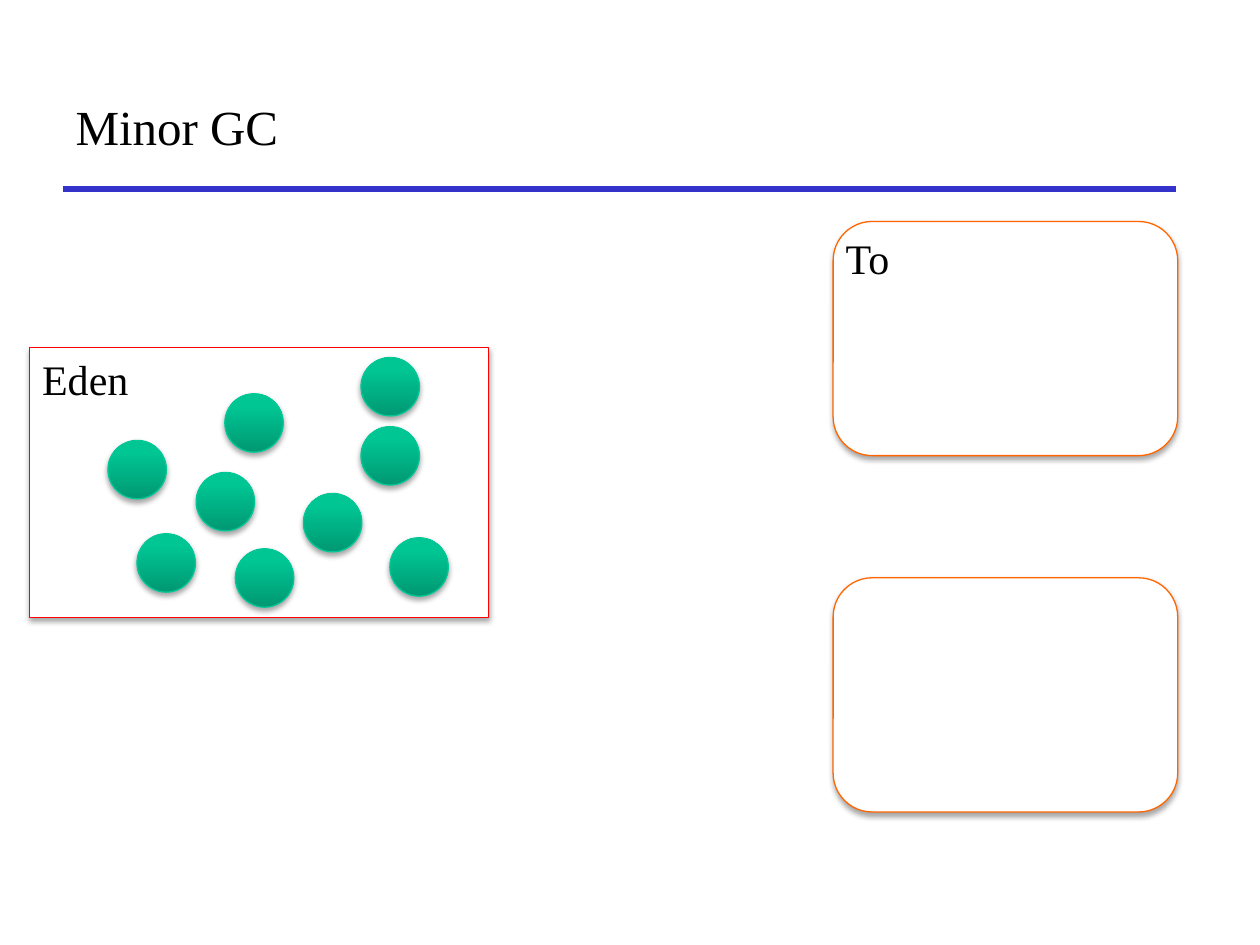
from copy import deepcopy
from typing import NamedTuple

from lxml.etree import SubElement
from pptx import Presentation
from pptx.dml.color import RGBColor
from pptx.enum.shapes import MSO_CONNECTOR, MSO_SHAPE
from pptx.enum.text import MSO_ANCHOR, MSO_AUTO_SIZE, PP_ALIGN
from pptx.oxml.ns import qn
from pptx.util import Pt

BLACK = RGBColor(0x00, 0x00, 0x00)
WHITE = RGBColor(0xFF, 0xFF, 0xFF)
BLUE = RGBColor(0x33, 0x33, 0xCC)
RED = RGBColor(0xFF, 0x00, 0x00)
ORANGE = RGBColor(0xFF, 0x66, 0x00)
GREEN = RGBColor(0x00, 0xC8, 0x96)
GREEN_STOPS = [
    (0.0, RGBColor(0x00, 0x98, 0x72)),
    (0.8, RGBColor(0x00, 0xC6, 0x94)),
    (1.0, RGBColor(0x00, 0xC7, 0x95)),
]
FONT = "Times New Roman"
DIAMETER = 33.4


class Region(NamedTuple):
    kind: MSO_SHAPE
    left: float
    top: float
    width: float
    height: float
    line: RGBColor


class Label(NamedTuple):
    text: str
    left: float
    top: float
    width: float


class Spot(NamedTuple):
    left: float
    top: float


REGIONS = [
    Region(MSO_SHAPE.RECTANGLE, 17, 198.7, 262.3, 154.2, RED),
    Region(MSO_SHAPE.ROUNDED_RECTANGLE, 476.1, 126.6, 196.9, 133.8, ORANGE),
    Region(MSO_SHAPE.ROUNDED_RECTANGLE, 476.1, 330.2, 196.9, 133.8, ORANGE),
]
LABELS = [Label("Eden", 17, 198.7, 103), Label("To", 476.1, 129.6, 106.6)]
LIVE_OBJECTS = [
    Spot(61.7, 251.7), Spot(128.5, 225), Spot(173.4, 282), Spot(78.3, 305),
    Spot(206.3, 243.8), Spot(112.1, 270), Spot(206.3, 204.3),
    Spot(134.5, 313.6), Spot(222.8, 307.3),
]


def set_text(tf, text: str, size: float) -> None:
    p = tf.paragraphs[0]
    p.alignment = PP_ALIGN.LEFT
    r = p.add_run()
    r.text = text
    for name, value in {"name": FONT, "size": Pt(size), "bold": False}.items():
        setattr(r.font, name, value)
    r.font.color.rgb = BLACK


def add_shadowed(s, kind: MSO_SHAPE, left: float, top: float,
                 width: float, height: float, line: RGBColor):
    sp = s.shapes.add_shape(kind, Pt(left), Pt(top), Pt(width), Pt(height))
    sp.line.color.rgb = line
    sp.line.width = Pt(0.75)
    # Soft shadow straight below
    sp.shadow.inherit = False
    effects = sp._element.spPr.find(qn("a:effectLst"))
    shadow = SubElement(effects, qn("a:outerShdw"), blurRad=str(Pt(3.1)),
                        dist=str(Pt(1.8)), dir="5400000", rotWithShape="0")
    color = SubElement(shadow, qn("a:srgbClr"), val=str(BLACK))
    SubElement(color, qn("a:alpha"), val="35000")
    return sp


def add_region(s, region: Region) -> None:
    sp = add_shadowed(s, *region)
    sp.fill.solid()
    sp.fill.fore_color.rgb = WHITE


def add_label(s, label: Label) -> None:
    sp = s.shapes.add_textbox(Pt(label.left), Pt(label.top),
                              Pt(label.width), Pt(36))
    tf = sp.text_frame
    tf.word_wrap = True
    tf.auto_size = MSO_AUTO_SIZE.SHAPE_TO_FIT_TEXT
    set_text(tf, label.text, 24)


def add_live_object(s, spot: Spot) -> None:
    sp = add_shadowed(s, MSO_SHAPE.OVAL, spot.left, spot.top,
                      DIAMETER, DIAMETER, GREEN)
    sp.fill.gradient()
    sp.fill.gradient_angle = 90
    stop_list = sp._element.spPr.find(qn("a:gradFill")).find(qn("a:gsLst"))
    stop_list.append(deepcopy(stop_list[-1]))
    for stop, (position, color) in zip(sp.fill.gradient_stops, GREEN_STOPS):
        stop.position = position
        stop.color.rgb = color


def add_title(s, text: str) -> None:
    sp = s.shapes.title
    box = {"left": 36, "top": 36, "width": 636, "height": 72}
    for name, value in box.items():
        setattr(sp, name, Pt(value))
    tf = sp.text_frame
    tf.vertical_anchor = MSO_ANCHOR.MIDDLE
    tf.auto_size = MSO_AUTO_SIZE.NONE
    set_text(tf, text, 28)


def add_rule(s) -> None:
    rule = s.shapes.add_connector(MSO_CONNECTOR.STRAIGHT,
                                  Pt(36), Pt(108), Pt(672), Pt(108))
    rule.line.color.rgb = BLUE
    rule.line.width = Pt(3)
    SubElement(rule._element.spPr, qn("a:effectLst"))


def main() -> None:
    prs = Presentation()
    prs.slide_width, prs.slide_height = Pt(720), Pt(540)
    s = prs.slides.add_slide(prs.slide_layouts[5])

    # Heading
    add_title(s, "Minor GC")
    add_rule(s)

    # Memory regions and their names
    for region in REGIONS:
        add_region(s, region)
    for label in LABELS:
        add_label(s, label)

    # Objects living in Eden
    for spot in LIVE_OBJECTS:
        add_live_object(s, spot)

    prs.save("out.pptx")


if __name__ == "__main__":
    main()
